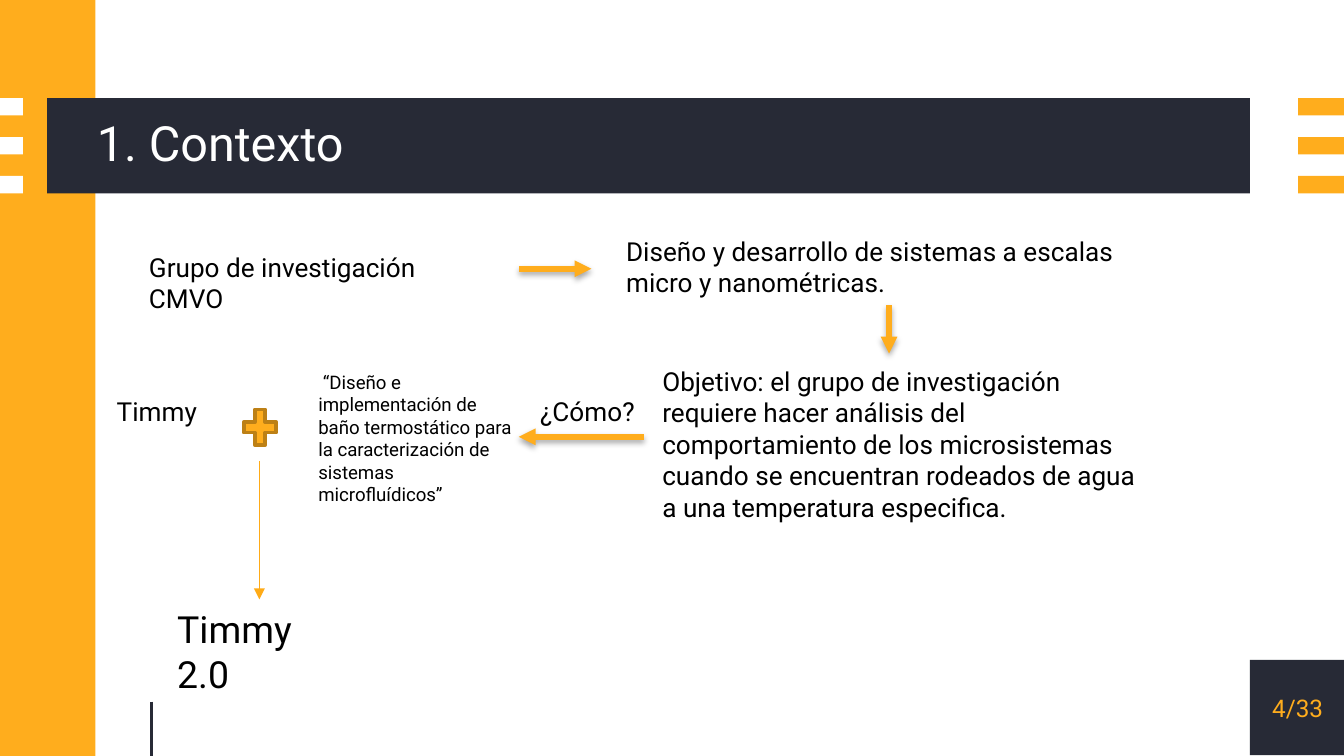
from dataclasses import dataclass

from lxml import etree
from pptx import Presentation
from pptx.dml.color import RGBColor
from pptx.enum.shapes import MSO_CONNECTOR, MSO_SHAPE
from pptx.enum.text import MSO_ANCHOR, MSO_AUTO_SIZE, PP_ALIGN
from pptx.oxml.ns import qn
from pptx.shapes.autoshape import Shape
from pptx.shapes.connector import Connector
from pptx.slide import Slide
from pptx.text.text import TextFrame
from pptx.util import Inches, Pt

STRAIGHT = MSO_CONNECTOR.STRAIGHT
RECTANGLE = MSO_SHAPE.RECTANGLE
PLUS = MSO_SHAPE.MATH_PLUS
MIDDLE = MSO_ANCHOR.MIDDLE
LEFT = PP_ALIGN.LEFT
CENTER = PP_ALIGN.CENTER
NO_FIT = MSO_AUTO_SIZE.NONE
GROW = MSO_AUTO_SIZE.SHAPE_TO_FIT_TEXT

SLIDE_WIDTH = 10
SLIDE_HEIGHT = SLIDE_WIDTH * 9 / 16
FONT = "Roboto"
ORANGE = "FFAD1D"
NAVY = "272A36"
WHITE = "FFFFFF"
BLACK = "000000"
BOTTOM_SIDE = 2


@dataclass
class Block:
    left: float
    top: float
    width: float
    height: float
    color: str


@dataclass
class Label:
    text: str
    left: float
    top: float
    width: float
    height: float
    size: float = 14
    color: str = BLACK


@dataclass
class Line:
    x1: float
    y1: float
    x2: float
    y2: float
    color: str = ORANGE
    weight: float = 3
    arrow: bool = True
    shadow: bool = True


def rgb(color: str) -> RGBColor:
    return RGBColor.from_string(color)


def write(frame: TextFrame, text: str, size: float, color: str) -> None:
    run = frame.paragraphs[0].add_run()
    run.text = text
    run.font.name = FONT
    run.font.size = Pt(size)
    run.font.color.rgb = rgb(color)


def clear_margins(frame: TextFrame) -> None:
    frame.margin_left = frame.margin_right = 0
    frame.margin_top = frame.margin_bottom = 0
    frame.vertical_anchor = MIDDLE
    frame.word_wrap = True
    frame.auto_size = NO_FIT


def draw_block(slide: Slide, block: Block, preset: MSO_SHAPE = RECTANGLE) -> Shape:
    shape = slide.shapes.add_shape(
        preset, Inches(block.left), Inches(block.top),
        Inches(block.width), Inches(block.height))
    shape.shadow.inherit = False
    shape.fill.solid()
    shape.fill.fore_color.rgb = rgb(block.color)
    shape.line.fill.background()
    return shape


def draw_label(slide: Slide, label: Label) -> Shape:
    box = slide.shapes.add_textbox(
        Inches(label.left), Inches(label.top),
        Inches(label.width), Inches(label.height))
    box.text_frame.word_wrap = True
    box.text_frame.auto_size = GROW
    write(box.text_frame, label.text, label.size, label.color)
    return box


def draw_line(slide: Slide, line: Line) -> Connector:
    connector = slide.shapes.add_connector(
        STRAIGHT, Inches(line.x1), Inches(line.y1),
        Inches(line.x2), Inches(line.y2))
    connector.line.color.rgb = rgb(line.color)
    connector.line.width = Pt(line.weight)
    if line.arrow:
        etree.SubElement(connector.line._ln, qn("a:tailEnd"), type="triangle")
    effects = etree.SubElement(connector._element.spPr, qn("a:effectLst"))
    if line.shadow:
        shadow = etree.SubElement(
            effects, qn("a:outerShdw"), blurRad=str(Pt(3.1)),
            dist=str(Pt(1.8)), dir="5400000", rotWithShape="0")
        shade = etree.SubElement(shadow, qn("a:srgbClr"), val=BLACK)
        etree.SubElement(shade, qn("a:alpha"), val="35000")
    return connector


def draw_frame(slide: Slide) -> None:
    page_corner = Block(9.3, 4.91, 0.71, 0.71, NAVY)
    side_band = Block(0, 0, 0.71, SLIDE_HEIGHT, ORANGE)
    title_band = Block(0.35, 0.73, 8.95, 0.71, NAVY)
    left_stripes = [Block(0, 0.73 + 0.29 * i, 0.17, 0.13, WHITE) for i in range(3)]
    right_stripes = [Block(9.66, 0.73 + 0.29 * i, 0.34, 0.13, ORANGE) for i in range(3)]
    for block in [page_corner, side_band, title_band, *left_stripes, *right_stripes]:
        draw_block(slide, block)
    draw_line(slide, Line(1.13, 5.22, 1.13, SLIDE_HEIGHT, NAVY, 1.5,
                          arrow=False, shadow=False))


def draw_title(slide: Slide) -> None:
    title = slide.shapes.title
    title.left, title.top = Inches(0.72), Inches(0.73)
    title.width, title.height = Inches(8.58), Inches(0.71)
    clear_margins(title.text_frame)
    title.text_frame.paragraphs[0].alignment = LEFT
    title.text_frame.paragraphs[0].line_spacing = 0.9
    write(title.text_frame, "1. Contexto", 26, WHITE)
    slide.shapes._spTree.append(title._element)


def draw_page_number(slide: Slide) -> None:
    number = draw_label(slide, Label("4/33", 9.3, 4.91, 0.71, 0.71, 13, ORANGE))
    clear_margins(number.text_frame)
    number.text_frame.paragraphs[0].alignment = CENTER


def draw_context(slide: Slide) -> None:
    draw_label(slide, Label("Grupo de investigación CMVO", 1.01, 1.82, 2.72, 0.34))
    draw_line(slide, Line(3.86, 2, 4.4, 2))
    field = draw_label(slide, Label(
        "Diseño y desarrollo de sistemas a escalas micro y nanométricas.",
        4.56, 1.7, 4.11, 0.57))
    to_goal = draw_line(slide, Line(6.62, 2.27, 6.62, 2.63))
    to_goal.begin_connect(field, BOTTOM_SIDE)
    to_goal.end_x = to_goal.begin_x

    draw_label(slide, Label(
        "Objetivo: el grupo de investigación requiere hacer análisis del "
        "comportamiento de los microsistemas cuando se encuentran rodeados "
        "de agua a una temperatura especifica.", 4.83, 2.67, 3.74, 1.51))
    draw_line(slide, Line(4.79, 3.25, 3.86, 3.25))
    draw_label(slide, Label("¿Cómo?", 3.92, 2.89, 0.95, 0.34))
    draw_label(slide, Label(
        " “Diseño e implementación de baño termostático para la "
        "caracterización de sistemas microfluídicos”", 2.27, 2.71, 1.65, 1.11, 10))

    plus = draw_block(slide, Block(1.77, 3, 0.33, 0.36, ORANGE), PLUS)
    plus.line.color.rgb = rgb("BD8015")
    plus.line.width = Pt(2)
    draw_label(slide, Label("Timmy", 0.77, 2.89, 0.9, 0.34))
    draw_line(slide, Line(1.93, 3.43, 1.93, 4.46, "FFAB17", 0.75, shadow=False))
    draw_label(slide, Label("Timmy 2.0", 1.22, 4.46, 1.49, 0.44, 20))


def main() -> None:
    deck = Presentation()
    deck.slide_width, deck.slide_height = Inches(SLIDE_WIDTH), Inches(SLIDE_HEIGHT)
    slide = deck.slides.add_slide(deck.slide_layouts[5])
    draw_frame(slide)
    draw_title(slide)
    draw_page_number(slide)
    draw_context(slide)
    deck.save("out.pptx")


if __name__ == "__main__":
    main()
